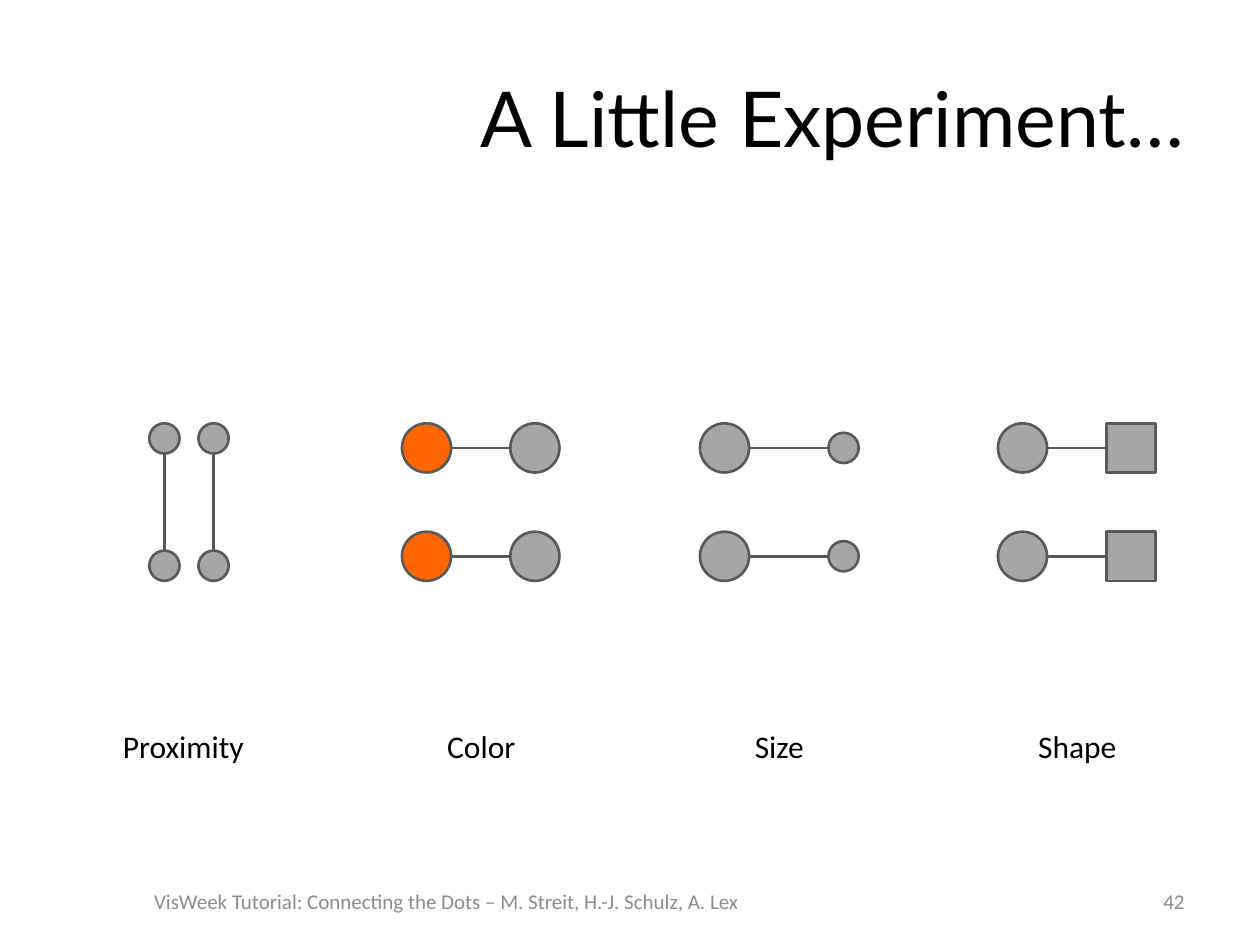
from lxml.etree import SubElement
from pptx import Presentation
from pptx.dml.color import RGBColor
from pptx.enum.shapes import MSO_CONNECTOR, MSO_SHAPE
from pptx.enum.text import MSO_ANCHOR, PP_ALIGN
from pptx.oxml.ns import qn
from pptx.util import Inches, Pt

GRAY, ORANGE, OUTLINE = "A6A6A6", "FF6600", "595959"
BLACK, FOOTER = "000000", "8C8C8C"
BIG, SMALL = 0.39, 0.24
CIRCLE, SQUARE = MSO_SHAPE.OVAL, MSO_SHAPE.RECTANGLE
FIRST_CENTER, PITCH = 1.455, 2.365
LABEL_W, LABEL_TOP = 1.41, 5.72
ROWS = (3.555, 4.415)
NEAR_ROWS = (3.48, 4.49)
LEFT, RIGHT = -0.435, 0.425

# Label and its two linked pairs; a node is (dx from column center, y, size, shape, fill)
PANELS = [
    ("Proximity", [[(dx, y, SMALL, CIRCLE, GRAY) for y in NEAR_ROWS]
                   for dx in (-0.15, 0.24)]),
    ("Color", [[(LEFT, y, BIG, CIRCLE, ORANGE), (RIGHT, y, BIG, CIRCLE, GRAY)]
               for y in ROWS]),
    ("Size", [[(LEFT, y, BIG, CIRCLE, GRAY), (0.51, y, SMALL, CIRCLE, GRAY)]
              for y in ROWS]),
    ("Shape", [[(LEFT, y, BIG, CIRCLE, GRAY), (RIGHT, y, BIG, SQUARE, GRAY)]
               for y in ROWS]),
]


def color(value):
    return RGBColor.from_string(value)


def add_text(s, text, box, align, anchor=MSO_ANCHOR.MIDDLE, fill=BLACK, **font):
    tf = s.shapes.add_textbox(*map(Inches, box)).text_frame
    tf.word_wrap = True
    tf.vertical_anchor = anchor
    p = tf.paragraphs[0]
    p.alignment = align
    r = p.add_run()
    r.text = text
    for name, value in font.items():
        setattr(r.font, name, value)
    r.font.color.rgb = color(fill)


def set_line(sp):
    sp.line.color.rgb = color(OUTLINE)
    sp.line.width = Pt(1.5)


def add_node(group, x, y, size, kind, fill):
    """Add a node centered on (x, y)."""
    box = (x - size / 2, y - size / 2, size, size)
    sp = group.shapes.add_shape(kind, *map(Inches, box))
    sp.shadow.inherit = False
    sp.fill.solid()
    sp.fill.fore_color.rgb = color(fill)
    set_line(sp)
    return sp


def add_link(s, a, b):
    """Draw a straight link between the facing sides of two nodes."""
    if a.left == b.left:
        x = a.left + a.width // 2
        ends = (x, a.top + a.height, x, b.top)
    else:
        y = a.top + a.height // 2
        ends = (a.left + a.width, y, b.left, y)
    link = s.shapes.add_connector(MSO_CONNECTOR.STRAIGHT, *ends)
    if b.auto_shape_type == SQUARE:
        link.end_connect(b, 1)
    set_line(link)
    SubElement(link._element.spPr, qn("a:effectLst"))


def add_panel(s, center, label, pairs):
    group = s.shapes.add_group_shape()
    for pair in pairs:
        a, b = [add_node(group, center + dx, *rest) for dx, *rest in pair]
        add_link(s, a, b)
    add_text(s, label, (center - LABEL_W / 2, LABEL_TOP, LABEL_W, 0.4),
             PP_ALIGN.CENTER, MSO_ANCHOR.TOP, name="Calibri", size=Pt(18))


def main():
    prs = Presentation()
    prs.slide_width, prs.slide_height = Inches(10), Inches(7.5)
    s = prs.slides.add_slide(prs.slide_layouts[6])
    add_text(s, "A Little Experiment…", (0.5, 0.3, 9, 1.25), PP_ALIGN.RIGHT,
             name="Lato", size=Pt(44))
    small = {"fill": FOOTER, "name": "Calibri", "size": Pt(12)}
    add_text(s, "VisWeek Tutorial: Connecting the Dots – M. Streit, H.-J. Schulz, A. Lex",
             (0.51, 6.95, 6.07, 0.4), PP_ALIGN.CENTER, **small)
    add_text(s, "42", (7.17, 6.95, 2.33, 0.4), PP_ALIGN.RIGHT, **small)
    for i, (label, pairs) in enumerate(PANELS):
        add_panel(s, FIRST_CENTER + i * PITCH, label, pairs)
    prs.save("out.pptx")


if __name__ == "__main__":
    main()
